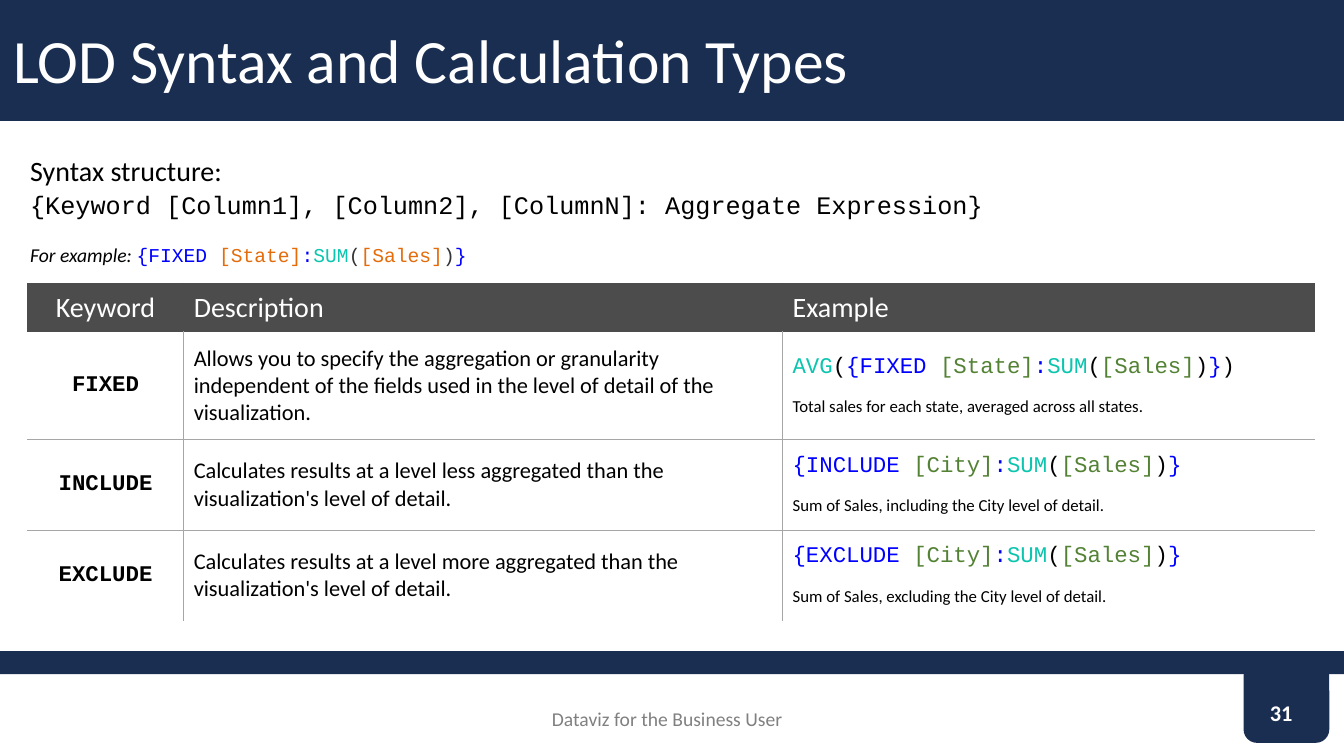
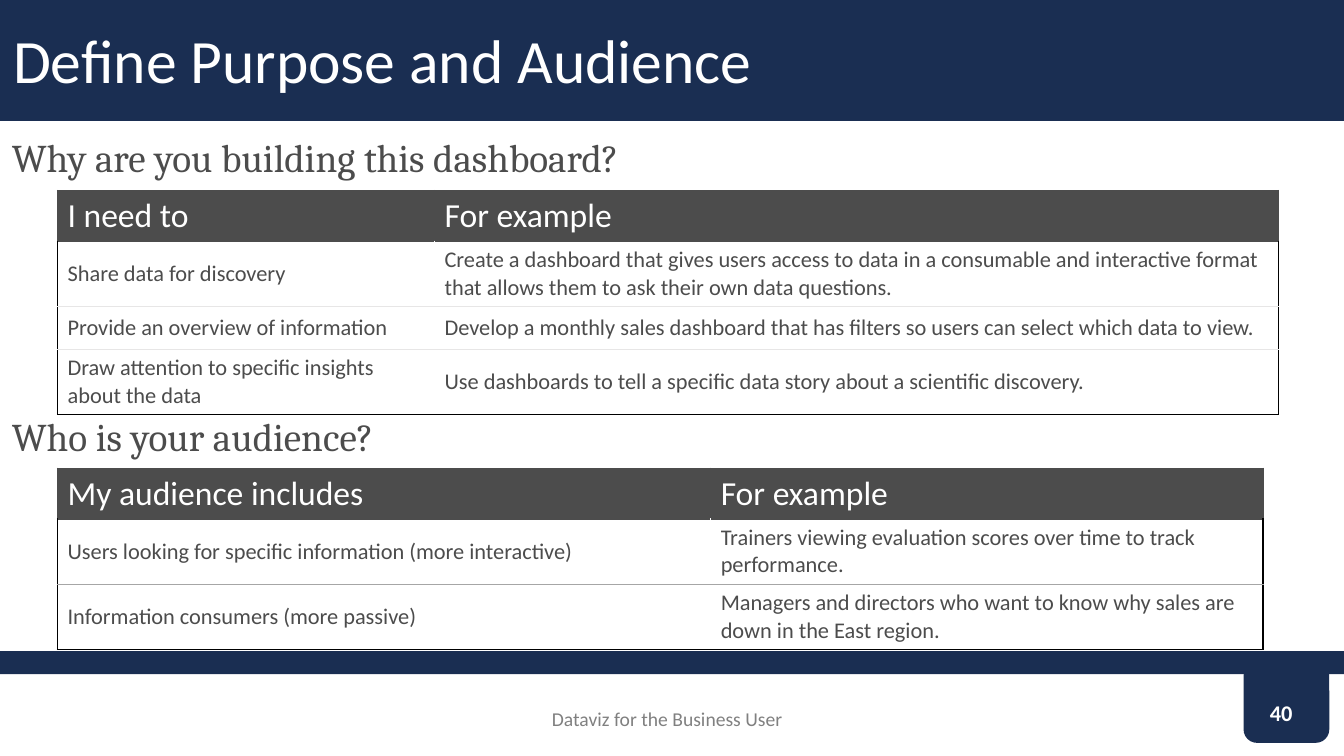
from dataclasses import dataclass, replace
from typing import Optional

from lxml.etree import SubElement
from pptx import Presentation
from pptx.dml.color import RGBColor
from pptx.enum.shapes import MSO_SHAPE as Preset
from pptx.enum.text import MSO_ANCHOR as Anchor, PP_ALIGN as Align
from pptx.oxml.ns import qn
from pptx.util import Cm, Pt


@dataclass(frozen=True)
class Style:
    size: float
    colour: str
    font: str = "Calibri"
    bold: bool = False
    italic: bool = False


@dataclass(frozen=True)
class Line:
    colour: str
    width: float = 1


@dataclass(frozen=True)
class Borders:
    column: Line
    row: Line
    outer: Optional[Line] = None


@dataclass(frozen=True)
class Theme:
    navy: str = "1A2E52"
    charcoal: str = "4C4C4C"
    white: str = "FFFFFF"
    black: str = "000000"
    keyword: str = "0000FF"
    function: str = "0BC5AF"
    orange: str = "E46C0A"
    green: str = "548235"
    soft_black: str = "333333"
    mid_grey: str = "A6A6A6"
    pale_grey: str = "E7E6E6"
    title: Style = Style(44, "FFFFFF")
    heading: Style = Style(28, "4C4C4C", "Cambria")
    footer: Style = Style(14, "808080")
    page_number: Style = Style(16, "FFFFFF", bold=True)
    table_header: Style = Style(20, "FFFFFF")
    large_table_header: Style = Style(24, "FFFFFF")
    body: Style = Style(16, "000000")
    grey_body: Style = Style(16, "4C4C4C")
    keyword_cell: Style = Style(16, "000000", "Courier New", bold=True)
    code: Style = Style(16, "000000", "Courier New")
    syntax: Style = Style(18, "000000", "Courier New")
    small_code: Style = Style(14, "000000", "Courier New")
    example_label: Style = Style(14, "000000", italic=True)
    note: Style = Style(12, "000000")


THEME = Theme()
SLIDE_WIDTH, SLIDE_HEIGHT = 33.87, 19.05
FOOTER_TEXT = "Dataviz for the Business User"


@dataclass(frozen=True)
class Text:
    """One paragraph made of (words, style) pairs."""
    runs: tuple
    align: Align = Align.LEFT
    space_before: float = 0
    line_spacing: float = 1.0


def plain(words, style, **options):
    return Text(((words, style),), **options)


def rgb(colour):
    return RGBColor.from_string(colour)


def write(text_frame, texts):
    for index, text in enumerate(texts):
        paragraph = text_frame.add_paragraph() if index else text_frame.paragraphs[0]
        paragraph.alignment = text.align
        paragraph.line_spacing = text.line_spacing
        if index:
            paragraph.space_before = Pt(text.space_before)
        for words, style in text.runs:
            run = paragraph.add_run()
            run.text = words
            font = run.font
            font.name, font.size = style.font, Pt(style.size)
            font.bold, font.italic = style.bold, style.italic
            font.color.rgb = rgb(style.colour)


def add_text(slide, box, texts, anchor=Anchor.TOP, inset=True):
    text_frame = slide.shapes.add_textbox(*map(Cm, box)).text_frame
    text_frame.word_wrap = True
    text_frame.vertical_anchor = anchor
    if not inset:
        text_frame.margin_left = text_frame.margin_right = 0
        text_frame.margin_top = text_frame.margin_bottom = 0
    write(text_frame, texts)


def add_block(slide, box, preset=Preset.RECTANGLE):
    shape = slide.shapes.add_shape(preset, *map(Cm, box))
    shape.shadow.inherit = False
    shape.fill.solid()
    shape.fill.fore_color.rgb = rgb(THEME.navy)
    shape.line.fill.background()


def set_cell_borders(cell, left, right, top, bottom):
    properties = cell._tc.get_or_add_tcPr()
    for tag, line in (("lnL", left), ("lnR", right), ("lnT", top), ("lnB", bottom)):
        if line is None:
            SubElement(SubElement(properties, qn(f"a:{tag}"), w="0"), qn("a:noFill"))
            continue
        edge = SubElement(properties, qn(f"a:{tag}"), w=str(Pt(line.width)))
        fill = SubElement(edge, qn("a:solidFill"))
        SubElement(fill, qn("a:srgbClr"), val=line.colour)


def add_table(slide, left, top, widths, heights, rows, borders):
    """Draw a table whose cells are lists of Text; the first row is the header."""
    frame = slide.shapes.add_table(len(rows), len(widths), Cm(left), Cm(top),
                                   Cm(sum(widths)), Cm(sum(heights)))
    table = frame.table
    table.first_row = table.horz_banding = False
    for column, width in zip(table.columns, widths):
        column.width = Cm(width)
    header_line = Line(THEME.charcoal)
    last_row, last_column = len(rows) - 1, len(widths) - 1
    for row_index, (row, height) in enumerate(zip(rows, heights)):
        table.rows[row_index].height = Cm(height)
        for column_index, texts in enumerate(row):
            cell = table.cell(row_index, column_index)
            cell.vertical_anchor = Anchor.MIDDLE
            if row_index == 0:
                set_cell_borders(cell, *[header_line] * 4)
            else:
                set_cell_borders(
                    cell,
                    left=borders.column if column_index else borders.outer,
                    right=borders.column if column_index < last_column else borders.outer,
                    top=borders.row if row_index > 1 else header_line,
                    bottom=borders.row if row_index < last_row else borders.outer)
            cell.fill.solid()
            cell.fill.fore_color.rgb = rgb(THEME.white if row_index else THEME.charcoal)
            write(cell.text_frame, texts)


def add_slide(presentation, title, number):
    """Add a slide with the shared title band, footer and page badge."""
    slide = presentation.slides.add_slide(presentation.slide_layouts[6])
    add_text(slide, (11.1, 17.7, 11.43, 1.02),
             [plain(FOOTER_TEXT, THEME.footer, align=Align.CENTER)])
    add_block(slide, (0, 16.41, SLIDE_WIDTH, 0.58))
    add_block(slide, (31.34, 16.69, 2.16, 2.03), Preset.ROUNDED_RECTANGLE)
    add_text(slide, (23.57, 17.45, 9.25, 1.02),
             [plain(str(number), THEME.page_number, align=Align.RIGHT)], Anchor.MIDDLE)
    add_block(slide, (0, 0, SLIDE_WIDTH, 3.05))
    add_text(slide, (0.08, 0.64, 25.4, 2.54),
             [plain(title, THEME.title, line_spacing=0.9)])
    return slide


def level_of_detail(keyword, field, style, field_colour, bracket_colour):
    """Return the coloured runs of {KEYWORD [Field]:SUM([Sales])}."""
    parts = ((f"{{{keyword} ", THEME.keyword), (f"[{field}]", field_colour),
             (":", THEME.keyword), ("SUM", THEME.function), ("(", bracket_colour),
             ("[Sales]", field_colour), (")", bracket_colour), ("}", THEME.keyword))
    return tuple((words, replace(style, colour=colour)) for words, colour in parts)


def keyword_row(keyword, field, description, note, averaged=False):
    runs = level_of_detail(keyword, field, THEME.code, THEME.green, THEME.black)
    if averaged:
        average = replace(THEME.code, colour=THEME.function)
        runs = (("AVG", average), ("(", THEME.code), *runs, (")", THEME.code))
    return [[plain(keyword, THEME.keyword_cell, align=Align.CENTER)],
            [plain(description, THEME.body)],
            [Text(runs), plain(note, THEME.note, space_before=12)]]


def build_syntax_slide(presentation):
    slide = add_slide(presentation, "LOD Syntax and Calculation Types", 31)
    example = level_of_detail("FIXED", "State", THEME.small_code,
                              THEME.orange, THEME.soft_black)
    add_text(slide, (0.51, 3.84, 32.74, 3.23), [
        plain("Syntax structure:", replace(THEME.table_header, colour=THEME.black),
              line_spacing=0.9),
        plain("{Keyword [Column1], [Column2], [ColumnN]: Aggregate Expression}",
              THEME.syntax, space_before=4, line_spacing=0.9),
        Text((("For example: ", THEME.example_label), *example),
             space_before=18, line_spacing=0.9)])
    header = [[plain("Keyword", THEME.table_header, align=Align.CENTER)],
              [plain("Description", THEME.table_header)],
              [plain("Example", THEME.table_header)]]
    rows = [
        header,
        keyword_row("FIXED", "State",
                    "Allows you to specify the aggregation or granularity independent of "
                    "the fields used in the level of detail of the visualization.",
                    "Total sales for each state, averaged across all states.",
                    averaged=True),
        keyword_row("INCLUDE", "City",
                    "Calculates results at a level less aggregated than the "
                    "visualization's level of detail.",
                    "Sum of Sales, including the City level of detail."),
        keyword_row("EXCLUDE", "City",
                    "Calculates results at a level more aggregated than the "
                    "visualization's level of detail.",
                    "Sum of Sales, excluding the City level of detail.")]
    grid = Line(THEME.mid_grey)
    add_table(slide, 0.69, 7.14, (3.94, 15.09, 13.41), (1.22, 2.72, 2.28, 2.28),
              rows, Borders(column=grid, row=grid))


def add_question(slide, top, question, table_top, widths, heights, rows, row_colour):
    """Add a heading and the framed two-column table that answers it."""
    add_text(slide, (0.3, top, 19.13, 1.2), [plain(question, THEME.heading)], inset=False)
    cells = [[[plain(words, THEME.grey_body if index else THEME.large_table_header)]
              for words in row] for index, row in enumerate(rows)]
    add_table(slide, 1.45, table_top, widths, heights, cells,
              Borders(column=Line(THEME.white, 0.5), row=Line(row_colour, 0.5),
                      outer=Line(THEME.black)))


def build_audience_slide(presentation):
    slide = add_slide(presentation, "Define Purpose and Audience", 40)
    add_question(
        slide, 3.35, "Why are you building this dashboard?", 4.8,
        (9.5, 21.26), (1.28, 1.64, 1.08, 1.64),
        [("I need to", "For example"),
         ("Share data for discovery",
          "Create a dashboard that gives users access to data in a consumable and "
          "interactive format that allows them to ask their own data questions."),
         ("Provide an overview of information",
          "Develop a monthly sales dashboard that has filters so users can select "
          "which data to view."),
         ("Draw attention to specific insights about the data",
          "Use dashboards to tell a specific data story about a scientific discovery.")],
        THEME.pale_grey)
    add_question(
        slide, 10.38, "Who is your audience?", 11.8,
        (16.46, 13.92), (1.28, 1.64, 1.64),
        [("My audience includes", "For example"),
         ("Users looking for specific information (more interactive)",
          "Trainers viewing evaluation scores over time to track performance."),
         ("Information consumers (more passive)",
          "Managers and directors who want to know why sales are down in the "
          "East region.")],
        THEME.mid_grey)


def main():
    presentation = Presentation()
    presentation.slide_width, presentation.slide_height = Cm(SLIDE_WIDTH), Cm(SLIDE_HEIGHT)
    build_syntax_slide(presentation)
    build_audience_slide(presentation)
    presentation.save("out.pptx")


if __name__ == "__main__":
    main()
